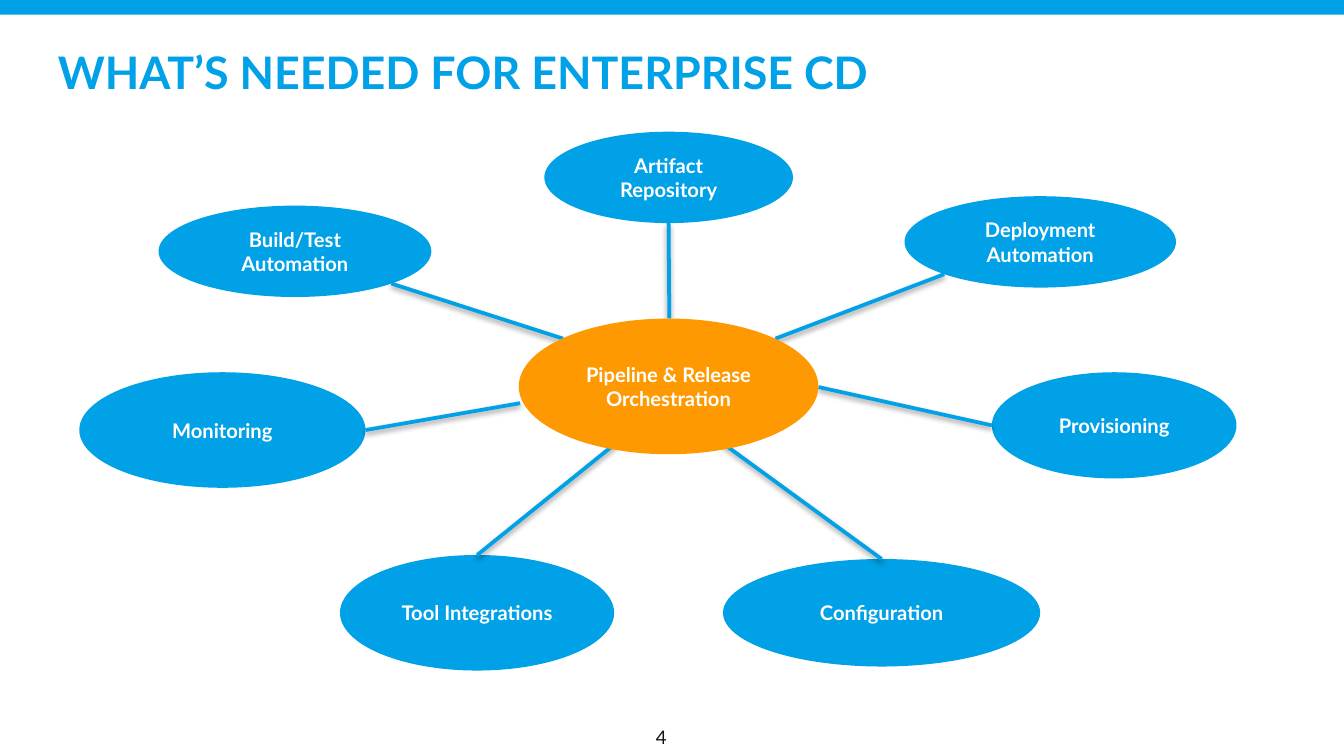
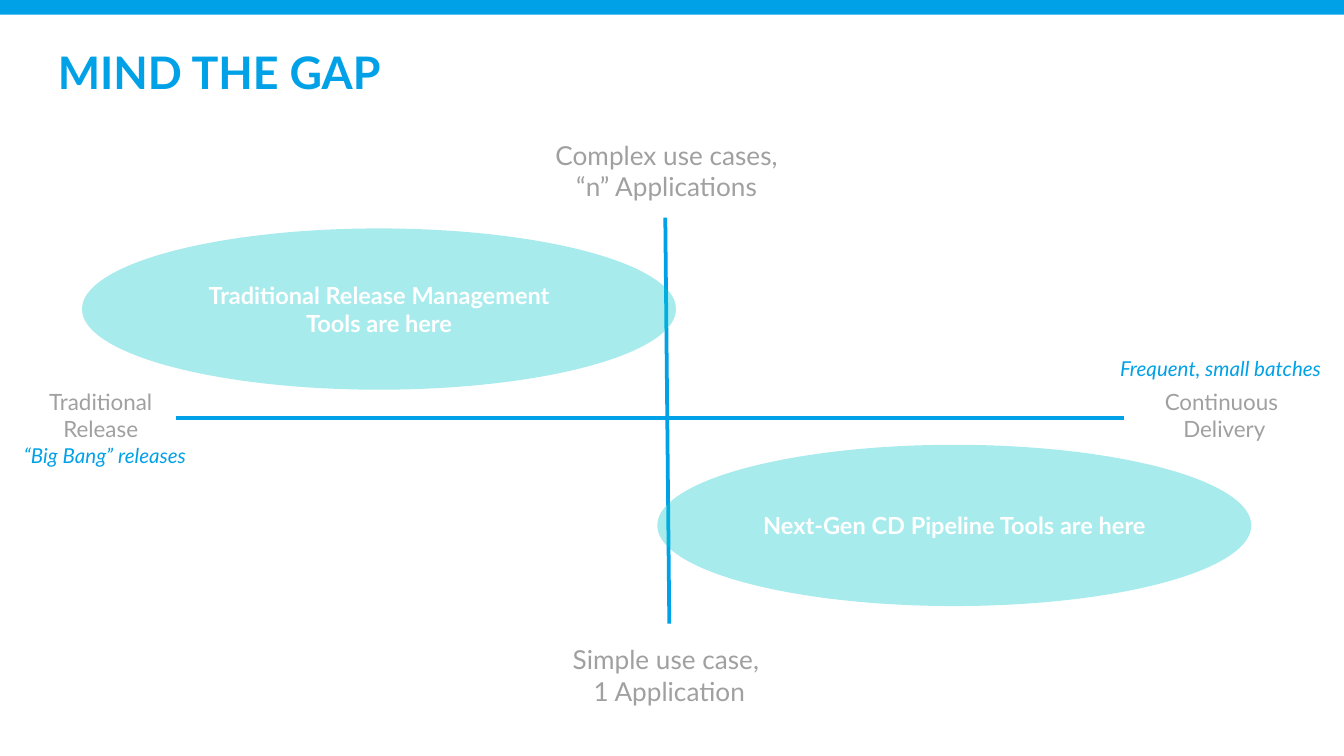
from math import cos, radians, sin

from lxml.etree import SubElement
from pptx import Presentation
from pptx.dml.color import RGBColor
from pptx.enum.shapes import MSO_CONNECTOR as LINK, MSO_SHAPE as FORM
from pptx.enum.text import MSO_ANCHOR as ANCHOR, PP_ALIGN as ALIGN
from pptx.oxml.ns import qn
from pptx.util import Inches, Pt

BLUE = RGBColor(0x01, 0xA1, 0xE7)
ORANGE = RGBColor(0xFE, 0x99, 0x01)
TEAL = RGBColor(0x05, 0xC8, 0xCD)
GRAY = RGBColor(0xA0, 0xA0, 0xA0)
INK = RGBColor(0x11, 0x11, 0x11)
WHITE = RGBColor(0xFF, 0xFF, 0xFF)
FONT = "Lato"
WIDTH = 10
HEIGHT = WIDTH * 9 / 16

HUB = ("Pipeline & Release Orchestration", (3.27, 1.39, 2.23, 1.01))
NODES = [
    ("Build/Test Automation", (0.59, 0.55, 2.03, 0.68), 45, (3.6, 1.54)),
    ("Artifact\nRepository", (3.46, 0, 1.85, 0.68), 90, (4.39, 1.39)),
    ("Deployment\nAutomation", (6.14, 0.48, 2.02, 0.68), 135, (5.18, 1.54)),
    ("Provisioning", (6.79, 1.79, 1.82, 0.79), 180, (5.5, 1.9)),
    ("Configuration", (4.79, 3.18, 2.36, 0.8), 270, (4.79, 2.32)),
    ("Tool Integrations", (1.94, 3.15, 2.04, 0.86), 270, (3.99, 2.32)),
    ("Monitoring", (0, 1.79, 2.13, 0.86), 0, (3.28, 2.02)),
]
AXES = [((1.28, 2.13), (8.33, 2.13)), ((4.95, 3.66), (4.92, 0.64))]
ENDS = [
    ("Traditional Release", (0, 1.86, 1.44, 0.5), 12, ANCHOR.TOP),
    ("Continuous \nDelivery", (8.24, 1.86, 1.68, 0.5), 12, ANCHOR.TOP),
    ("Simple use case, \v1 Application", (4.04, 3.76, 1.82, 0.57), 14, ANCHOR.TOP),
    ("Complex use cases, “n” Applications", (3.89, 0, 2.08, 0.57), 14, ANCHOR.BOTTOM),
]
HINTS = [
    ("“Big Bang” releases", (0.05, 2.27, 2.33, 0.47), ALIGN.LEFT),
    ("Frequent, small batches", (7.23, 1.62, 2.67, 0.29), ALIGN.RIGHT),
]
ZONES = [
    ("Traditional Release Management Tools are here", (0.58, 0.72, 4.42, 1.2)),
    ("Next-Gen CD Pipeline Tools are here", (4.86, 2.33, 4.42, 1.2)),
]


def shift(box, base):
    """Move a point or box by the corner of its region."""
    return (box[0] + base[0], box[1] + base[1], *box[2:])


def write(frame, text, size, color, align=ALIGN.CENTER, bold=False,
          slant=False, anchor=ANCHOR.TOP):
    """Fill a text frame with evenly styled paragraphs."""
    frame.word_wrap = True
    frame.vertical_anchor = anchor
    frame.text = text
    for para in frame.paragraphs:
        para.alignment = align
        font = para.font
        font.name, font.size, font.bold, font.italic = FONT, Pt(size), bold, slant
        font.color.rgb = color


def label(slide, text, box, size, color, **style):
    """Add a text box."""
    area = slide.shapes.add_textbox(*map(Inches, box))
    write(area.text_frame, text, size, color, **style)


def block(slide, form, box, color):
    """Add a filled shape with no outline."""
    shape = slide.shapes.add_shape(form, *map(Inches, box))
    shape.shadow.inherit = False
    shape.fill.solid()
    shape.fill.fore_color.rgb = color
    shape.line.fill.background()
    return shape


def oval(slide, text, box, color, size=10.8, inset=0.05):
    """Add an ellipse with a bold white caption."""
    shape = block(slide, FORM.OVAL, box, color)
    frame = shape.text_frame
    frame.margin_left = frame.margin_right = Inches(inset)
    frame.margin_top = frame.margin_bottom = Inches(inset)
    write(frame, text, size, WHITE, bold=True, anchor=ANCHOR.MIDDLE)
    return shape


def link(slide, start, end, shade=False):
    """Add a blue line, with a soft drop shadow if asked."""
    line = slide.shapes.add_connector(LINK.STRAIGHT, *map(Inches, (*start, *end)))
    line.line.color.rgb = BLUE
    line.line.width = Pt(2)
    effect = SubElement(line.element.spPr, qn("a:effectLst"))
    if shade:
        drop = SubElement(effect, qn("a:outerShdw"), blurRad=str(Pt(3.1)),
                          dist=str(Pt(1.6)), dir="5400000", rotWithShape="0")
        tone = SubElement(drop, qn("a:srgbClr"), val="000000")
        SubElement(tone, qn("a:alpha"), val="38000")


def rim(box, angle):
    """Give the point of an ellipse at an angle, clockwise from the right."""
    left, top, wide, high = box
    turn = radians(angle)
    return left + wide * (1 + cos(turn)) / 2, top + high * (1 + sin(turn)) / 2


def start(deck, title):
    """Add a slide with the top band and the title."""
    slide = deck.slides.add_slide(deck.slide_layouts[5])
    block(slide, FORM.RECTANGLE, (0, 0, WIDTH, 0.11), BLUE)
    head = slide.shapes.title
    head.left, head.top, head.width, head.height = map(Inches, (0.33, 0.28, 8.9, 0.5))
    write(head.text_frame, title, 24, BLUE, align=ALIGN.LEFT, bold=True,
          anchor=ANCHOR.MIDDLE)
    return slide


def wheel(slide, base):
    """Draw the needs around the orchestration hub."""
    for text, box, angle, end in NODES:
        place = shift(box, base)
        oval(slide, text, place, BLUE)
        link(slide, rim(place, angle), shift(end, base), shade=True)
    text, box = HUB
    oval(slide, text, shift(box, base), ORANGE)


def chart(slide, base):
    """Draw the two axes, their labels and the tool zones."""
    for tail, tip in AXES:
        link(slide, shift(tail, base), shift(tip, base))
    for text, box, size, anchor in ENDS:
        label(slide, text, shift(box, base), size, GRAY, anchor=anchor)
    for text, box, align in HINTS:
        label(slide, text, shift(box, base), 11, BLUE, align=align, slant=True)
    for text, box in ZONES:
        zone = oval(slide, text, shift(box, base), TEAL, size=12.6, inset=0.08)
        tone = zone.element.spPr.find(qn("a:solidFill")).find(qn("a:srgbClr"))
        SubElement(tone, qn("a:alpha"), val="35000")


def main():
    """Build and save the deck."""
    deck = Presentation()
    deck.slide_width, deck.slide_height = Inches(WIDTH), Inches(HEIGHT)
    needs = start(deck, "WHAT’S NEEDED FOR ENTERPRISE CD")
    wheel(needs, (0.59, 0.98))
    label(needs, "4", (4.73, 5.35, 0.38, 0.3), 10, INK)
    chart(start(deck, "MIND THE GAP"), (0.03, 0.98))
    deck.save("out.pptx")


if __name__ == "__main__":
    main()
